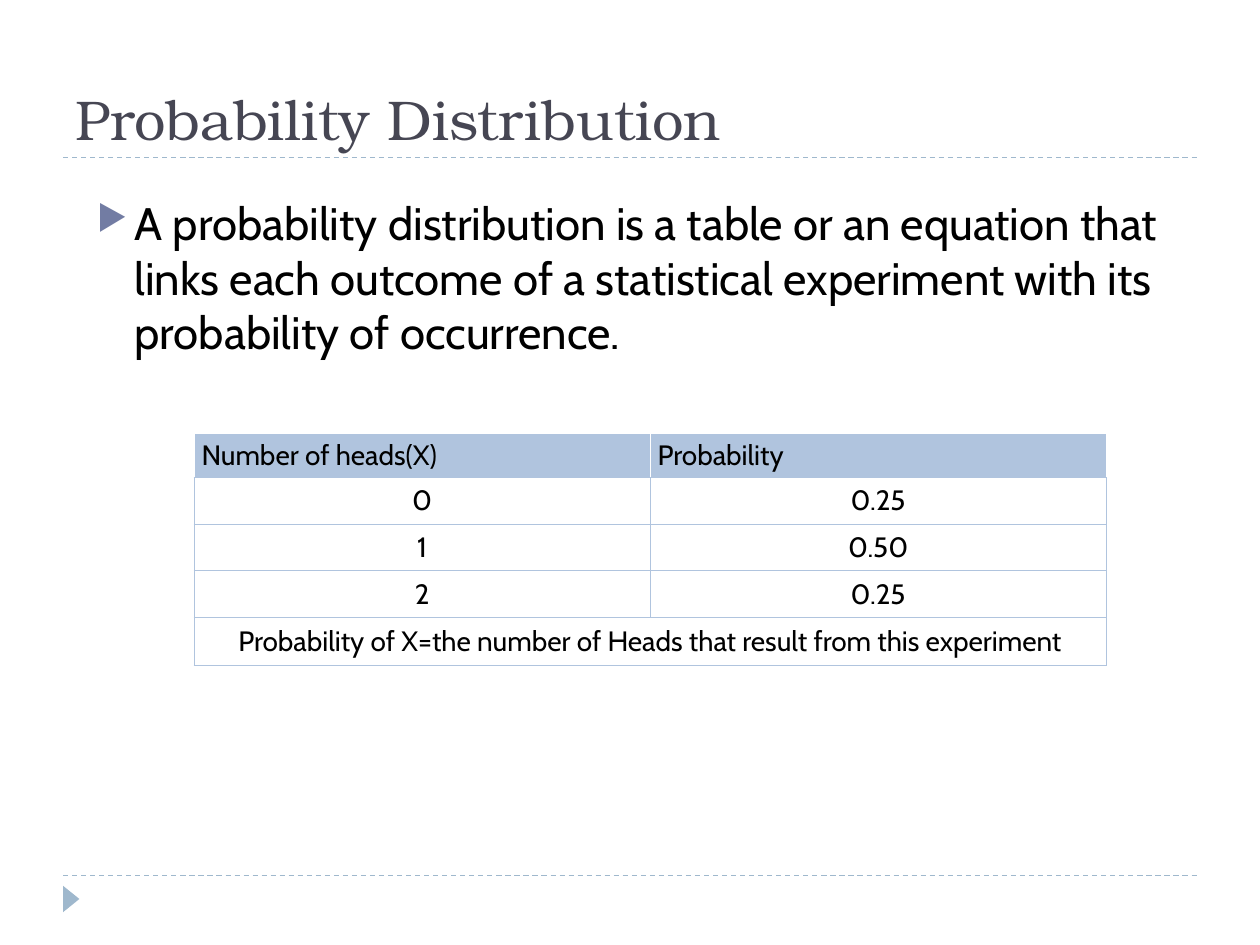
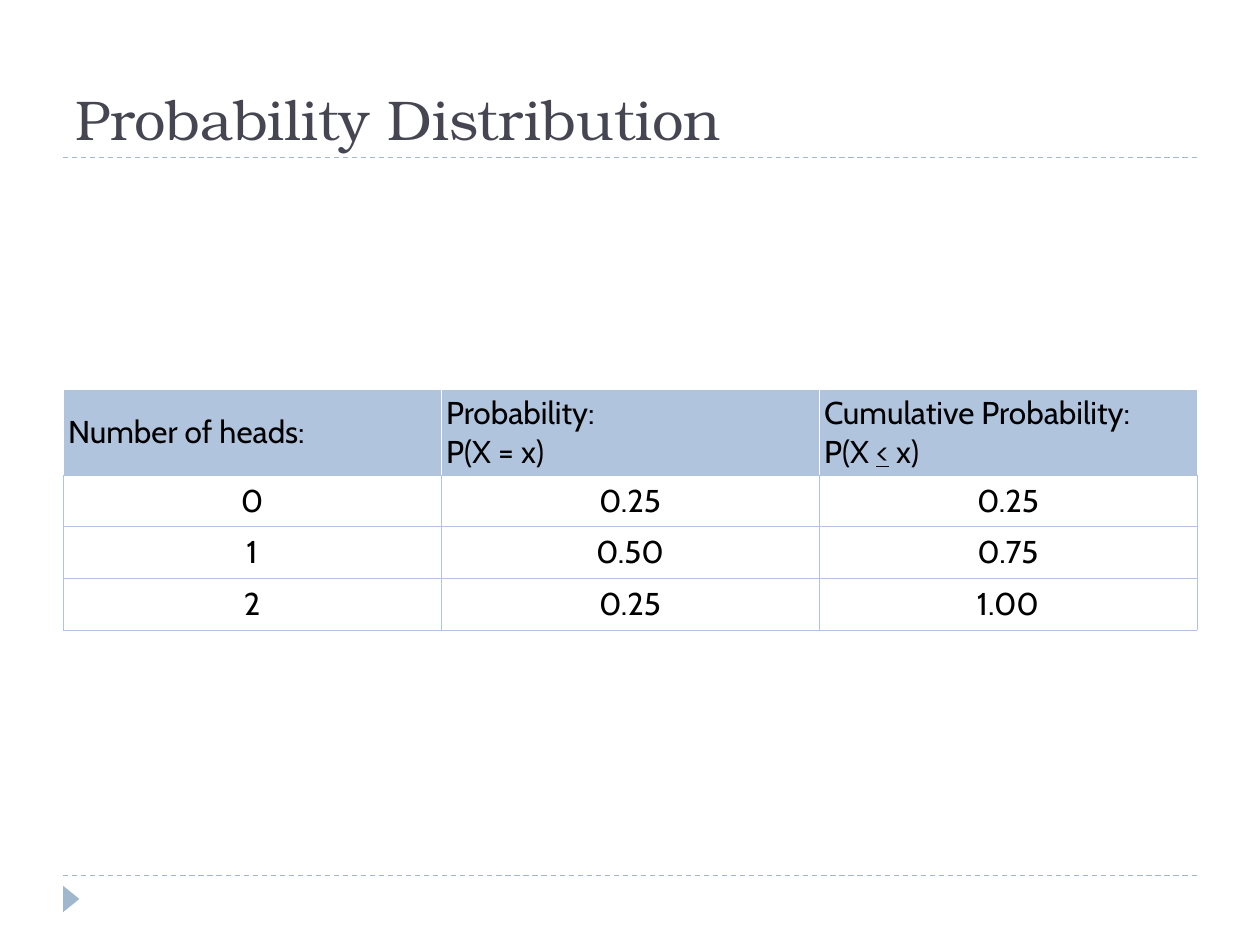
from dataclasses import dataclass

from lxml.etree import SubElement
from pptx import Presentation
from pptx.dml.color import RGBColor
from pptx.enum.dml import MSO_LINE
from pptx.enum.shapes import MSO_CONNECTOR, MSO_SHAPE
from pptx.enum.text import MSO_ANCHOR, PP_ALIGN
from pptx.oxml.ns import qn
from pptx.presentation import Presentation as Deck
from pptx.slide import Slide
from pptx.table import _Cell as Cell
from pptx.util import Inches, Pt


@dataclass(frozen=True)
class Theme:
    title_font: str = "TeX Gyre Bonum"
    body_font: str = "Cabin"
    title_color: str = "464653"
    text_color: str = "000000"
    rule_color: str = "9FB8CD"
    bullet_color: str = "727CA3"
    table_color: str = "B0C4DE"
    header_border: str = "FFFFFF"
    title_size: int = 32
    body_size: int = 26
    rule_width: float = 0.75
    border_width: float = 0.6


@dataclass(frozen=True)
class TableSpec:
    """A header row and value rows; a last row with one entry spans the table."""
    left: float
    top: float
    column_width: float
    row_heights: tuple[float, ...]
    rows: tuple[tuple[str, ...], ...]
    text_size: int
    header_margins: tuple[float, float]
    value_margins: tuple[float, float]


THEME = Theme()
TITLE = "Probability Distribution"
DEFINITION = (
    "A probability distribution is a table or an equation that links each outcome "
    "of a statistical experiment with its probability of occurrence."
)

HEADS_TABLE = TableSpec(
    left=1.54, top=3.44, column_width=3.62,
    row_heights=(0.35, 0.37, 0.37, 0.37, 0.38),
    rows=(
        ("Number of heads(X)", "Probability"),
        ("0", "0.25"),
        ("1", "0.50"),
        ("2", "0.25"),
        ("Probability of X=the number of Heads that result from this experiment",),
    ),
    text_size=16, header_margins=(0.06, 0.04), value_margins=(0.15, 0.05),
)

# Underscores enclose underlined text.
CUMULATIVE_TABLE = TableSpec(
    left=0.5, top=3.09, column_width=3,
    row_heights=(0.68, 0.41, 0.41, 0.41),
    rows=(
        ("Number of heads:", "Probability:\nP(X = x)", "Cumulative Probability:\nP(X _<_ x)"),
        ("0", "0.25", "0.25"),
        ("1", "0.50", "0.75"),
        ("2", "0.25", "1.00"),
    ),
    text_size=18, header_margins=(0.04, 0.04), value_margins=(0.1, 0.05),
)


def style_font(font, name: str, size: float, color: str) -> None:
    font.name = name
    font.size = Pt(size)
    font.bold = False
    font.color.rgb = RGBColor.from_string(color)


def add_rule(page: Slide, top: float) -> None:
    rule = page.shapes.add_connector(
        MSO_CONNECTOR.STRAIGHT, Inches(0.5), Inches(top), Inches(9.5), Inches(top))
    rule.line.color.rgb = RGBColor.from_string(THEME.rule_color)
    rule.line.width = Pt(THEME.rule_width)
    rule.line.dash_style = MSO_LINE.DASH
    SubElement(rule._element.spPr, qn("a:effectLst"))


def add_text(page: Slide, text: str, left: float, top: float, width: float, height: float):
    box = page.shapes.add_textbox(Inches(left), Inches(top), Inches(width), Inches(height))
    box.text_frame.word_wrap = True
    box.text_frame.text = text
    return box.text_frame


def add_page(deck: Deck) -> Slide:
    """Add a page with the shared rules, corner marker and title."""
    page = deck.slides.add_slide(deck.slide_layouts[6])
    for top in (6.95, 1.25):
        add_rule(page, top)
    marker = page.shapes.add_shape(
        MSO_SHAPE.ISOSCELES_TRIANGLE, Inches(0.46), Inches(7.07), Inches(0.21), Inches(0.13))
    marker.rotation = 90
    marker.shadow.inherit = False
    marker.fill.solid()
    marker.fill.fore_color.rgb = RGBColor.from_string(THEME.rule_color)
    marker.line.fill.background()

    frame = add_text(page, TITLE, 0.5, 0.17, 9, 1.08)
    frame.vertical_anchor = MSO_ANCHOR.BOTTOM
    style_font(frame.paragraphs[0].runs[0].font,
               THEME.title_font, THEME.title_size, THEME.title_color)
    return page


def add_definition(page: Slide) -> None:
    para = add_text(page, DEFINITION, 0.67, 1.5, 9, 5.4).paragraphs[0]
    properties = para._p.get_or_add_pPr()
    properties.set("marL", str(Inches(0.3)))
    properties.set("indent", str(Inches(-0.3)))
    bullet_color = SubElement(properties, qn("a:buClr"))
    SubElement(bullet_color, qn("a:srgbClr"), val=THEME.bullet_color)
    SubElement(properties, qn("a:buSzPct"), val="76000")
    SubElement(properties, qn("a:buChar"), char="▶")
    style_font(para.runs[0].font, THEME.body_font, THEME.body_size, THEME.text_color)


def set_borders(cell: Cell, side_color: str, bottom_color: str) -> None:
    properties = cell._tc.get_or_add_tcPr()
    for side in ("L", "R", "T", "B"):
        line = SubElement(properties, qn(f"a:ln{side}"), w=str(Pt(THEME.border_width)))
        fill = SubElement(line, qn("a:solidFill"))
        SubElement(fill, qn("a:srgbClr"), val=bottom_color if side == "B" else side_color)


def write_cell(cell: Cell, text: str, size: int, centered: bool) -> None:
    first, *others = text.split("_")
    para = cell.text_frame.paragraphs[0]
    para.text = first
    para.alignment = PP_ALIGN.CENTER if centered else PP_ALIGN.LEFT
    for index, part in enumerate(others):
        span = para.add_run()
        span.text = part
        span.font.underline = index % 2 == 0
    for span in para.runs:
        style_font(span.font, THEME.body_font, size, THEME.text_color)


def style_cell(cell: Cell, is_header: bool, margins: tuple[float, float]) -> None:
    cell.vertical_anchor = MSO_ANCHOR.MIDDLE
    cell.margin_left = cell.margin_right = Inches(margins[0])
    cell.margin_top = cell.margin_bottom = Inches(margins[1])
    set_borders(cell, THEME.header_border if is_header else THEME.table_color, THEME.table_color)
    if is_header:
        cell.fill.solid()
        cell.fill.fore_color.rgb = RGBColor.from_string(THEME.table_color)
    else:
        cell.fill.background()


def add_value_table(page: Slide, spec: TableSpec) -> None:
    column_count = len(spec.rows[0])
    table = page.shapes.add_table(
        len(spec.rows), column_count, Inches(spec.left), Inches(spec.top),
        Inches(spec.column_width * column_count), Inches(sum(spec.row_heights))).table
    table.first_row = table.horz_banding = False
    for column in table.columns:
        column.width = Inches(spec.column_width)
    for row_index, texts in enumerate(spec.rows):
        is_header = row_index == 0
        row = table.rows[row_index]
        row.height = Inches(spec.row_heights[row_index])
        for cell in row.cells:
            style_cell(cell, is_header, spec.header_margins if is_header else spec.value_margins)
        for cell, text in zip(row.cells, texts):
            write_cell(cell, text, spec.text_size, centered=not is_header)
        if len(texts) == 1:
            table.cell(row_index, 0).merge(table.cell(row_index, column_count - 1))


def main() -> None:
    deck = Presentation()
    deck.slide_width, deck.slide_height = Inches(10), Inches(7.5)
    definition_page = add_page(deck)
    add_definition(definition_page)
    add_value_table(definition_page, HEADS_TABLE)
    add_value_table(add_page(deck), CUMULATIVE_TABLE)
    deck.save("out.pptx")


if __name__ == "__main__":
    main()
